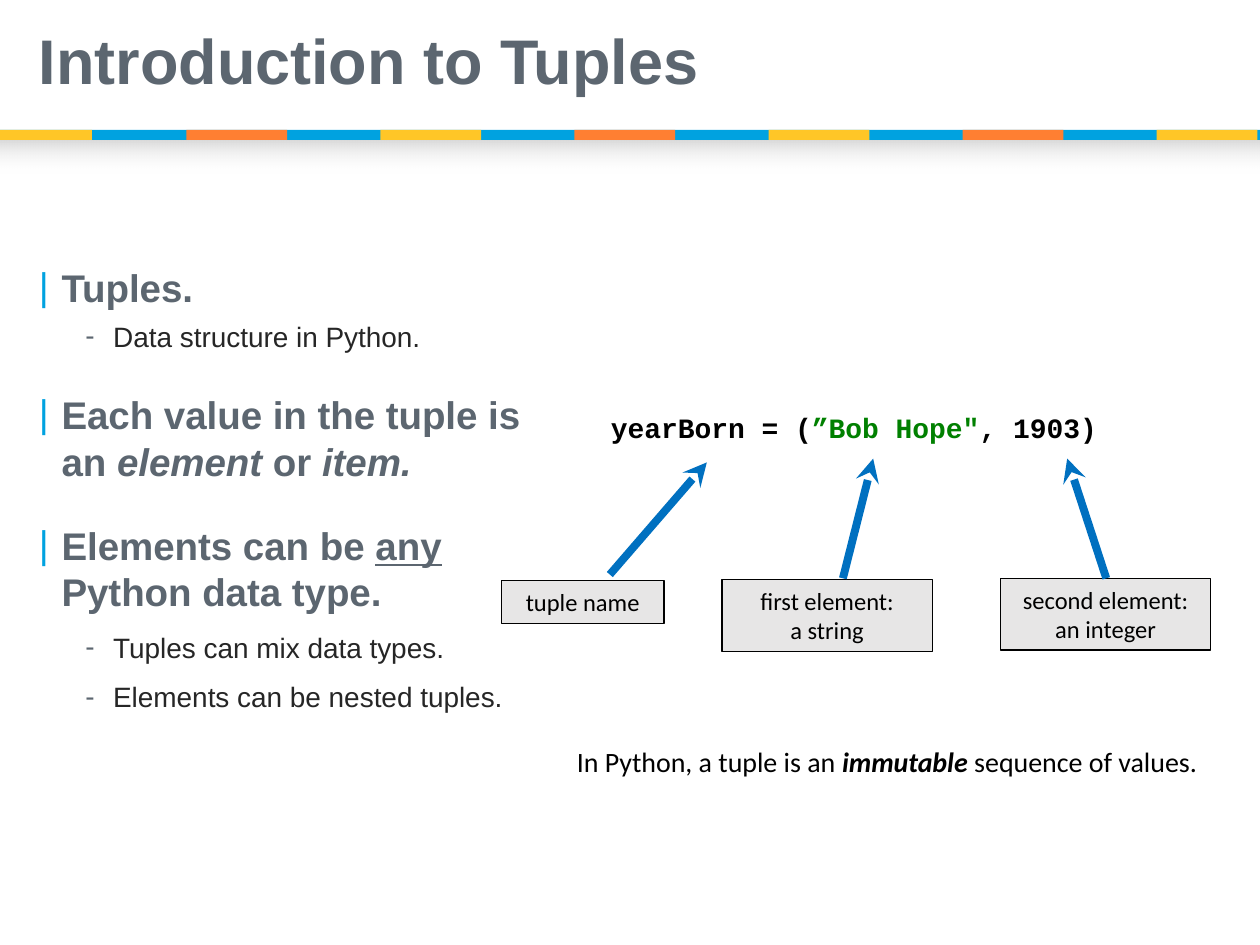
from dataclasses import dataclass

from lxml import etree
from pptx import Presentation
from pptx import util as u
from pptx.dml.color import RGBColor
from pptx.enum import shapes, text
from pptx.oxml.ns import qn


@dataclass(frozen=True)
class Theme:
    slate: str = "5C6670"
    ink: str = "262626"
    black: str = "000000"
    string_green: str = "008000"
    sky: str = "00A2E0"
    gold: str = "FFC627"
    orange: str = "FF7F32"
    shade: str = "D9D9D9"
    white: str = "FFFFFF"
    label_gray: str = "E7E6E6"
    arrow_blue: str = "0070C0"
    title_size: int = 36
    point_size: int = 22
    text_size: int = 16
    label_size: int = 14
    sans: str = "Arial"
    plain: str = "Calibri"
    code: str = "Courier New"


class SlideBuilder:
    def __init__(self, slide, theme):
        self.slide = slide
        self.theme = theme

    def add_runs(self, paragraph, runs, **base):
        for words, changes in runs:
            style = {**base, **changes}
            color = style.pop("color")
            size = style.pop("size")
            for index, line in enumerate(words.split("\n")):
                if index:
                    paragraph.add_line_break()
                run = paragraph.add_run()
                run.text = line
                run.font.size = u.Pt(size)
                run.font.color.rgb = RGBColor.from_string(color)
                for name, value in style.items():
                    setattr(run.font, name, value)

    def text_box(self, left, top, width, height, anchor=text.MSO_ANCHOR.TOP):
        box = self.slide.shapes.add_textbox(*map(u.Inches, (left, top, width, height)))
        frame = box.text_frame
        frame.word_wrap = True
        frame.vertical_anchor = anchor
        return frame

    def rect(self, left, top, width, height, color, outline=None):
        shape = self.slide.shapes.add_shape(
            shapes.MSO_SHAPE.RECTANGLE, *map(u.Inches, (left, top, width, height)))
        shape.shadow.inherit = False
        shape.fill.solid()
        shape.fill.fore_color.rgb = RGBColor.from_string(color)
        if outline:
            shape.line.color.rgb = RGBColor.from_string(outline)
            shape.line.width = u.Pt(0.75)
        else:
            shape.line.fill.background()
        return shape

    def fading_band(self, left, top, width, height):
        band = self.rect(left, top, width, height, self.theme.shade)
        band.fill.gradient()
        band.fill.gradient_angle = 270
        for stop, color in zip(band.fill.gradient_stops, (self.theme.shade, self.theme.white)):
            stop.color.rgb = RGBColor.from_string(color)
        faded = list(band._element.iter(qn("a:srgbClr")))[-1]
        etree.SubElement(faded, qn("a:alpha"), val="0")

    def label(self, left, top, width, height, words):
        frame = self.rect(left, top, width, height,
                          self.theme.label_gray, self.theme.black).text_frame
        frame.word_wrap = True
        frame.vertical_anchor = text.MSO_ANCHOR.TOP
        frame.paragraphs[0].alignment = text.PP_ALIGN.CENTER
        self.add_runs(frame.paragraphs[0], [(words, {})], name=self.theme.plain,
                      size=self.theme.label_size, color=self.theme.black)

    def arrow(self, start, end):
        line = self.slide.shapes.add_connector(
            shapes.MSO_CONNECTOR.STRAIGHT, *map(u.Inches, (*start, *end)))
        line.line.color.rgb = RGBColor.from_string(self.theme.arrow_blue)
        line.line.width = u.Pt(4.5)
        properties = line._element.spPr
        etree.SubElement(properties.find(qn("a:ln")), qn("a:tailEnd"), type="stealth")
        etree.SubElement(properties, qn("a:effectLst"))

    def bullet(self, paragraph, runs, level, spacing, before):
        theme = self.theme
        mark, mark_color, margin, indent, style = (
            ("|", theme.sky, 0.19, -0.18,
             {"size": theme.point_size, "color": theme.slate, "bold": True}),
            ("-", theme.slate, 0.6, -0.22,
             {"size": theme.text_size, "color": theme.ink, "bold": False}),
        )[level]
        paragraph.level = level
        properties = paragraph._p.get_or_add_pPr()
        properties.set("marL", str(u.Inches(margin)))
        properties.set("indent", str(u.Inches(indent)))
        tint = etree.SubElement(properties, qn("a:buClr"))
        etree.SubElement(tint, qn("a:srgbClr"), val=mark_color)
        etree.SubElement(properties, qn("a:buFont"), typeface=theme.sans)
        etree.SubElement(properties, qn("a:buChar"), char=mark)
        paragraph.line_spacing = spacing
        if before:
            paragraph.space_before = u.Pt(before)
        self.add_runs(paragraph, runs, name=theme.sans, **style)

    def outline(self, left, top, width, height, points):
        frame = self.text_box(left, top, width, height)
        for index, point in enumerate(points):
            paragraph = frame.add_paragraph() if index else frame.paragraphs[0]
            self.bullet(paragraph, *point)


def main():
    theme = Theme()
    deck = Presentation()
    deck.slide_width, deck.slide_height = u.Inches(10), u.Inches(7.5)
    page = SlideBuilder(deck.slides.add_slide(deck.slide_layouts[6]), theme)

    page.fading_band(0, 1.11, 10, 0.27)
    page.rect(0, 1.03, 10, 0.08, theme.sky)
    page.rect(0, 1.03, 0.73, 0.08, theme.gold)
    for index in range(6):
        page.rect(1.48 + 1.54 * index, 1.03, 0.8, 0.08,
                  theme.gold if index % 2 else theme.orange)

    title = page.text_box(0.21, 0, 9.52, 1.02, text.MSO_ANCHOR.MIDDLE).paragraphs[0]
    title.line_spacing = 0.9
    page.add_runs(title, [("Introduction to Tuples", {})], name=theme.sans,
                  size=theme.title_size, color=theme.slate, bold=True)

    italic = {"italic": True}
    page.outline(0.2, 2.12, 4.04, 3.79, [
        ([("Tuples.", {})], 0, 0.8, 0),
        ([("Data structure in Python.", {})], 1, 0.8, 9),
        ([("Each value in the tuple is an ", {}), ("element", italic),
          (" or ", {}), ("item.", italic)], 0, 1.0, 22),
        ([("Elements can be ", {}), ("any", {"underline": True}),
          (" Python data type.", {})], 0, 1.0, 22),
        ([("Tuples can mix data types.", {})], 1, 1.0, 9),
        ([("Elements can be nested tuples.", {})], 1, 1.0, 9),
    ])

    statement = page.text_box(4.75, 3.21, 6.5, 0.37).paragraphs[0]
    page.add_runs(statement, [("yearBorn = (", {}),
                              ("”Bob Hope\"", {"color": theme.string_green}),
                              (", 1903)", {})],
                  name=theme.code, size=theme.text_size, color=theme.black, bold=True)

    page.label(3.98, 4.61, 1.29, 0.34, "tuple name")
    page.label(5.73, 4.6, 1.67, 0.57, "first element:\na string")
    page.label(7.94, 4.59, 1.67, 0.57, "second element: an integer")
    for start, end in (((4.84, 4.56), (5.61, 3.67)),
                       ((6.69, 4.59), (6.93, 3.64)),
                       ((8.78, 4.59), (8.47, 3.64))):
        page.arrow(start, end)

    summary = page.text_box(4.48, 5.86, 7.19, 0.64).paragraphs[0]
    page.add_runs(summary, [("In Python, a tuple is an ", {}),
                            ("immutable", {"bold": True, "italic": True}),
                            (" sequence of values.", {})],
                  name=theme.plain, size=theme.text_size, color=theme.black)

    deck.save("out.pptx")


if __name__ == "__main__":
    main()
